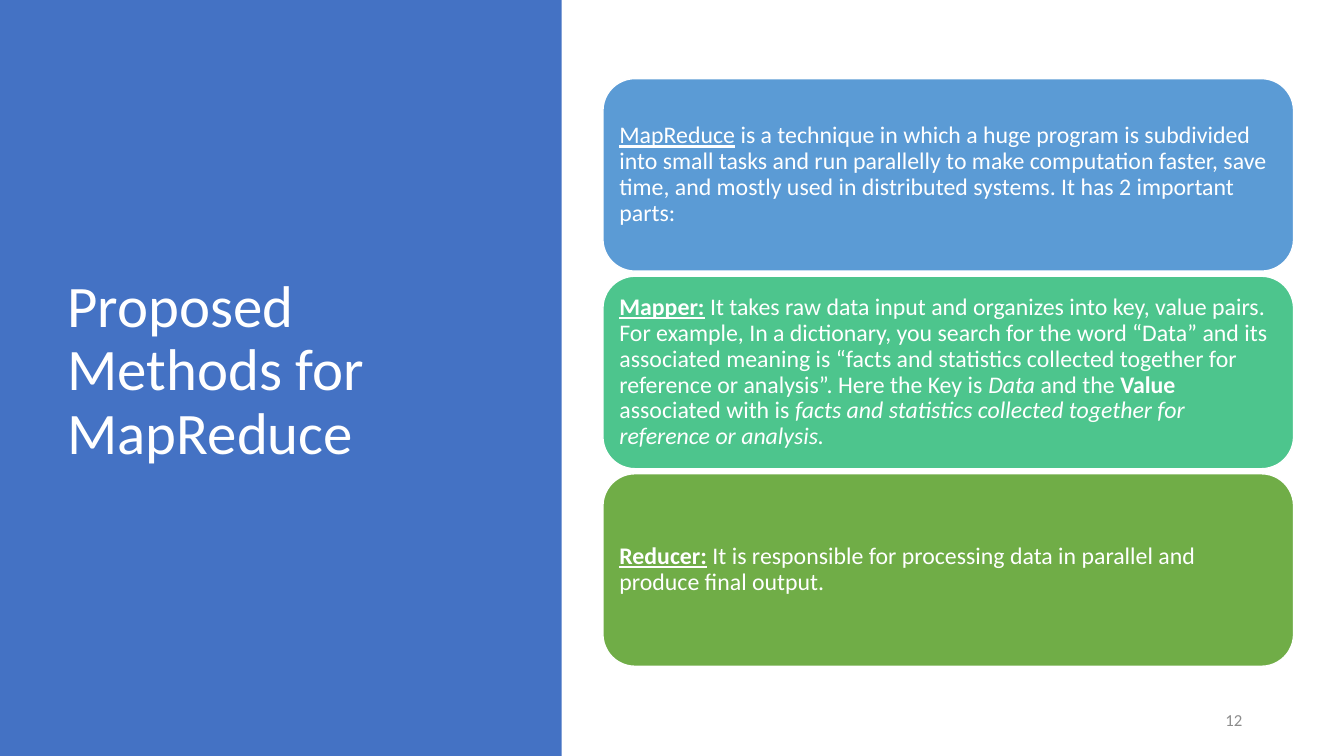
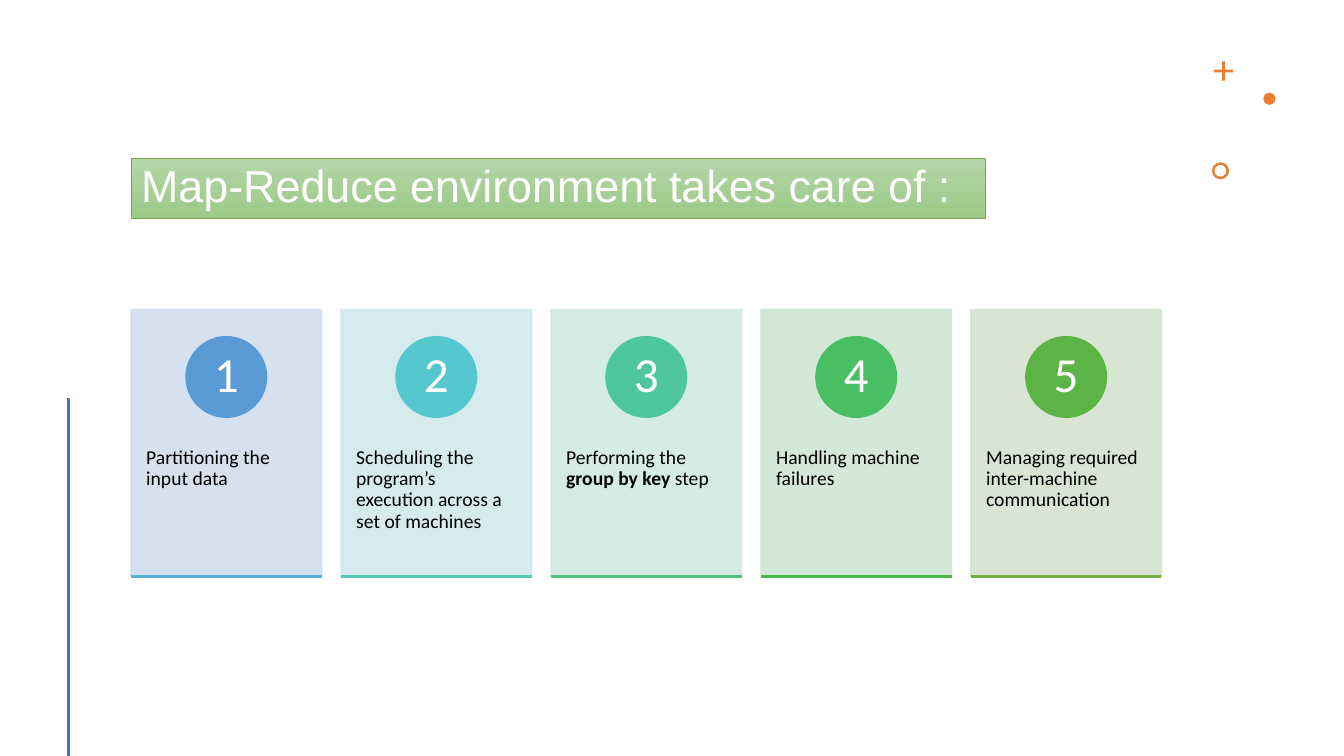
import dataclasses

import lxml.etree
import pptx
import pptx.dml.color
import pptx.enum.shapes
import pptx.enum.text
import pptx.oxml.ns
import pptx.util

Inches = pptx.util.Inches
Shape = pptx.enum.shapes.MSO_SHAPE
Align = pptx.enum.text.PP_ALIGN
Anchor = pptx.enum.text.MSO_ANCHOR


@dataclasses.dataclass(frozen=True)
class Theme:
    white: str = "FFFFFF"
    black: str = "000000"
    grey: str = "8C8C8C"
    blue: str = "4472C4"
    sky: str = "5B9BD5"
    mint: str = "4DC58D"
    green: str = "70AD47"
    orange: str = "ED7D31"
    banner: tuple = ("B5D5A7", "9CC987")
    cards: tuple = ("D2DEEF", "D1E9ED", "D0EAE1", "D0E6D4", "D5E3CF")
    badges: tuple = ("5B9BD5", "55C7CE", "4FC79C", "49BF64", "5CB447")
    rules: tuple = ("58B1D2", "52CAB8", "4CC37F", "47BA49", "70AD47")
    font: str = "Calibri"
    banner_font: str = "Arial"
    title_size: int = 42
    banner_size: int = 32
    badge_size: int = 35
    panel_size: int = 17
    card_size: int = 14
    number_size: int = 12


THEME = Theme()


def rgb(value):
    return pptx.dml.color.RGBColor.from_string(value)


class Slides:
    def __init__(self, theme):
        self.theme = theme
        self.deck = pptx.Presentation()
        self.deck.slide_width = Inches(13.33)
        self.deck.slide_height = Inches(7.5)
        self.page = None

    def add_page(self):
        self.page = self.deck.slides.add_slide(self.deck.slide_layouts[5])

    def set_text(self, box, spans, size, color, font=None, align=Align.LEFT,
                 anchor=Anchor.MIDDLE, insets=(0.1, 0.05, 0.1, 0.05)):
        frame = box.text_frame
        frame.word_wrap = True
        frame.auto_size = pptx.enum.text.MSO_AUTO_SIZE.NONE
        frame.vertical_anchor = anchor
        (frame.margin_left, frame.margin_top,
         frame.margin_right, frame.margin_bottom) = map(Inches, insets)
        para = frame.paragraphs[0]
        para.alignment = align
        para.line_spacing = 0.9
        for text, marks in spans:
            if text == "\n":
                para.add_line_break()
                continue
            span = para.add_run()
            span.text = text
            span.font.name = font or self.theme.font
            span.font.size = pptx.util.Pt(size)
            span.font.color.rgb = rgb(color)
            span.font.bold = "b" in marks
            span.font.italic = "i" in marks
            span.font.underline = "u" in marks

    def title(self, text, left, top, width, height, size, **style):
        box = self.page.shapes.title
        self.page.shapes.element.append(box.element)
        box.left, box.top = Inches(left), Inches(top)
        box.width, box.height = Inches(width), Inches(height)
        self.set_text(box, [(text, "")], size, self.theme.white, **style)
        return box

    def banner(self, text, left, top, width, height):
        box = self.title(text, left, top, width, height, self.theme.banner_size,
                         font=self.theme.banner_font, anchor=Anchor.TOP)
        box.fill.gradient()
        box.fill.gradient_angle = 270
        for stop, color in zip(box.fill.gradient_stops, self.theme.banner):
            stop.color.rgb = rgb(color)
        box.line.color.rgb = rgb(self.theme.green)
        box.line.width = pptx.util.Pt(0.5)

    def shape(self, kind, left, top, width, height, fill, outline=None, opacity=100):
        shape = self.page.shapes.add_shape(
            kind, Inches(left), Inches(top), Inches(width), Inches(height))
        shape.shadow.inherit = False
        shape.fill.solid()
        shape.fill.fore_color.rgb = rgb(fill)
        if outline:
            shape.line.color.rgb = rgb(outline)
            shape.line.width = pptx.util.Pt(1)
        else:
            shape.line.fill.background()
        if opacity < 100:
            qn = pptx.oxml.ns.qn
            for color in list(shape.element.spPr.iter(qn("a:srgbClr"))):
                alpha = lxml.etree.SubElement(color, qn("a:alpha"))
                alpha.set("val", str(opacity * 1000))
        return shape

    def line(self, start, end, color, width):
        line = self.page.shapes.add_connector(
            pptx.enum.shapes.MSO_CONNECTOR.STRAIGHT, *map(Inches, start + end))
        line.line.color.rgb = rgb(color)
        line.line.width = pptx.util.Pt(width)
        lxml.etree.SubElement(line.element.spPr, pptx.oxml.ns.qn("a:effectLst"))

    def panel(self, top, height, fill, spans):
        panel = self.shape(Shape.ROUNDED_RECTANGLE, 5.98, top, 6.85, height,
                           fill, self.theme.white)
        self.set_text(panel, spans, self.theme.panel_size, self.theme.white,
                      insets=(0.07,) * 4)

    def card(self, index, left, width, spans):
        theme = self.theme
        top, height, badge_side = 3.07, 2.65, 0.8
        fill, badge_fill = theme.cards[index], theme.badges[index]
        card = self.shape(Shape.RECTANGLE, left, top, width, height, fill, fill, 90)
        self.set_text(card, spans, theme.card_size, theme.black, anchor=Anchor.TOP,
                      insets=(0.15, 1.37, 0.15, 0.36))
        badge = self.shape(Shape.OVAL, left + (width - badge_side) / 2, top + 0.27,
                           badge_side, badge_side, badge_fill, badge_fill)
        self.set_text(badge, [(str(index + 1), "")], theme.badge_size, theme.white,
                      align=Align.CENTER, insets=(0.06, 0.01, 0.06, 0.01))
        bottom = top + height
        self.line((left, bottom), (left + width, bottom), theme.rules[index], 1.5)

    def page_number(self, text):
        box = self.page.shapes.add_textbox(
            Inches(9.42), Inches(6.95), Inches(3), Inches(0.4))
        self.set_text(box, [(text, "")], self.theme.number_size, self.theme.grey,
                      align=Align.RIGHT)

    def ornaments(self):
        orange = self.theme.orange
        plus = self.shape(Shape.CROSS, 12.04, 0.61, 0.19, 0.19, orange)
        plus.adjustments[0] = 0.43
        self.shape(Shape.OVAL, 12.53, 0.92, 0.12, 0.12, orange)
        ring = self.shape(Shape.DONUT, 12.02, 1.61, 0.17, 0.17, orange)
        ring.adjustments[0] = 0.15


def build_methods(slides):
    theme = slides.theme
    slides.add_page()
    slides.shape(Shape.RECTANGLE, 0, 0, 5.57, 7.5, theme.blue)
    slides.title("Proposed Methods for MapReduce", 0.57, 0.68, 4.16, 6.02,
                 theme.title_size)
    slides.page_number("12")
    panels = [
        (theme.sky, [
            ("MapReduce", "u"),
            (" is a technique in which a huge program is subdivided into small "
             "tasks and run parallelly to make computation faster, save time, and "
             "mostly used in distributed systems. It has 2 important parts:", ""),
        ]),
        (theme.mint, [
            ("Mapper:", "bu"),
            (" It takes raw data input and organizes into key, value pairs. For "
             "example, In a dictionary, you search for the word “Data” and its "
             "associated meaning is “facts and statistics collected together for "
             "reference or analysis”. Here the Key is ", ""),
            ("Data", "i"),
            (" and the ", ""),
            ("Value", "b"),
            (" associated with is ", ""),
            ("facts and statistics collected together for reference or analysis.",
             "i"),
        ]),
        (theme.green, [
            ("Reducer:", "bu"),
            (" It is responsible for processing data in parallel and produce "
             "final output.", ""),
        ]),
    ]
    height, gap = 1.91, 0.05
    for index, (fill, spans) in enumerate(panels):
        slides.panel(0.78 + index * (height + gap), height, fill, spans)


def build_environment(slides):
    theme = slides.theme
    slides.add_page()
    slides.banner("Map-Reduce environment takes care of :", 1.3, 1.57, 8.47, 0.6)
    slides.ornaments()
    slides.line((0.68, 3.95), (0.68, 7.5), theme.blue, 2)
    duties = [
        [("Partitioning the input data", "")],
        [("Scheduling the program’s execution across a ", ""), ("\n", ""),
         ("set of machines", "")],
        [("Performing the ", ""), ("group by key", "b"), (" step", "")],
        [("Handling machine failures", "")],
        [("Managing required inter-machine communication", "")],
    ]
    left, right, width = 1.3, 11.52, 1.89
    pitch = (right - left - width) / (len(duties) - 1)
    for index, spans in enumerate(duties):
        slides.card(index, left + index * pitch, width, spans)


def main():
    slides = Slides(THEME)
    build_methods(slides)
    build_environment(slides)
    slides.deck.save("out.pptx")


if __name__ == "__main__":
    main()
